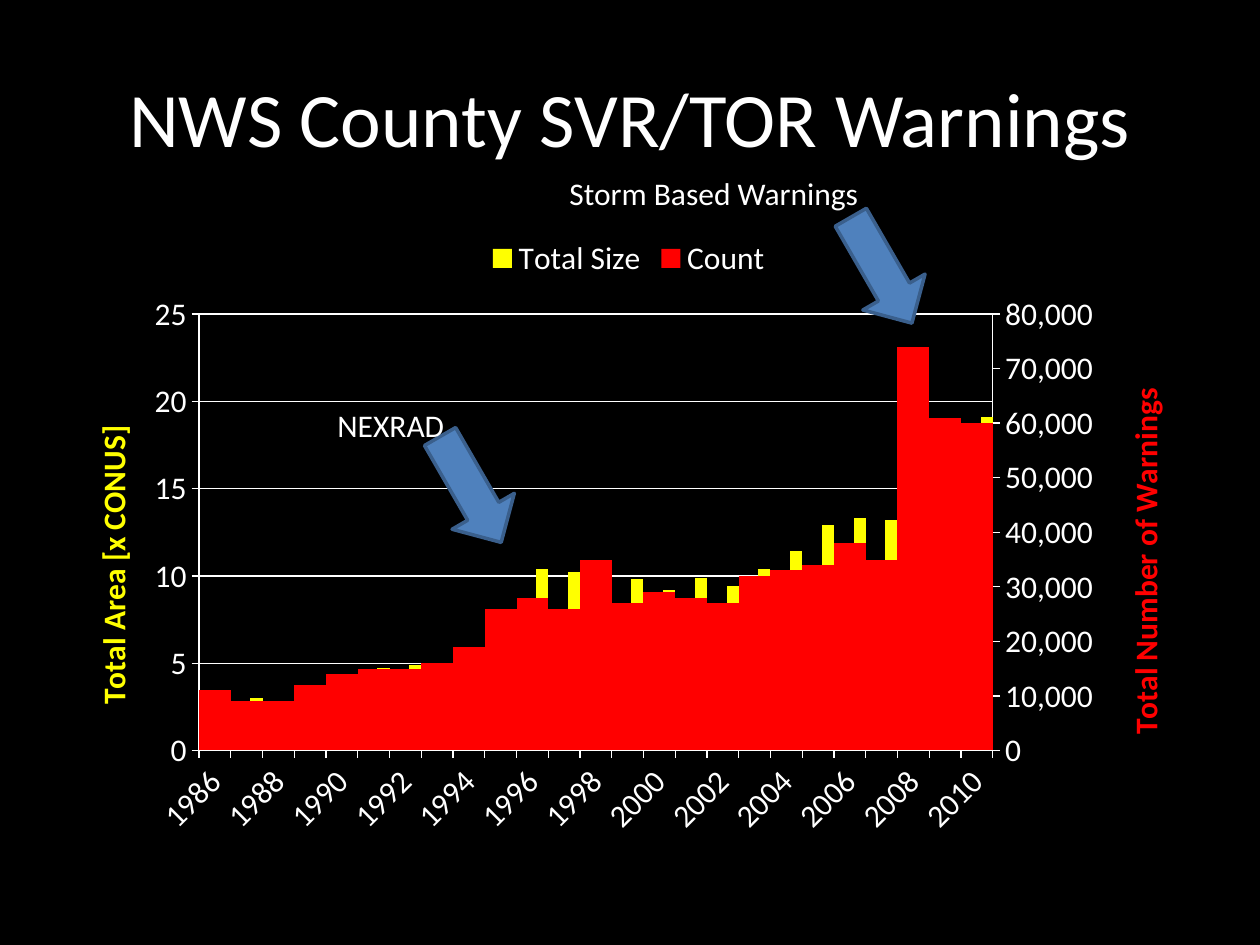
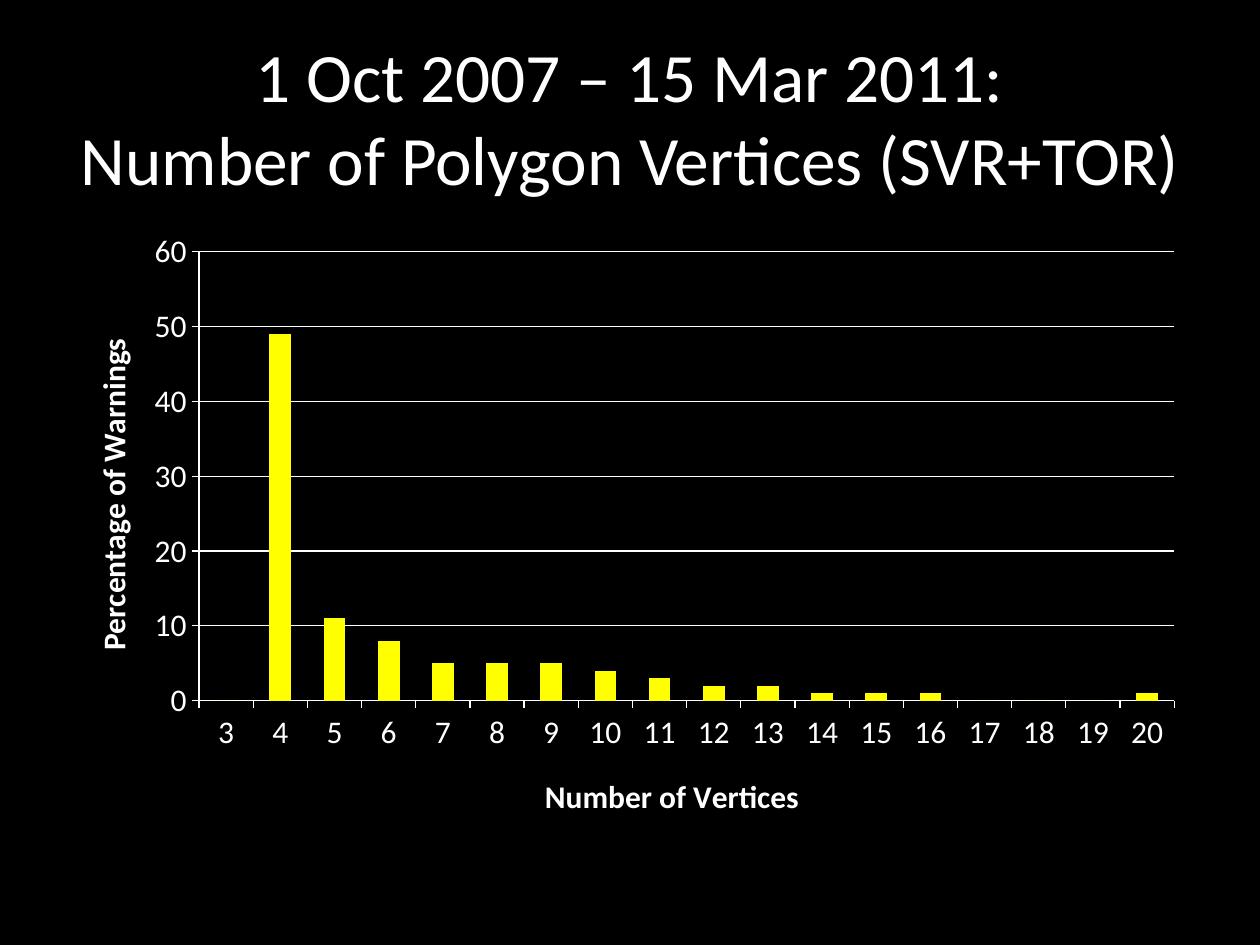
"""Build two slides on the count, area and shape of storm warnings."""
from copy import deepcopy

from pptx import Presentation
from pptx.chart import axis as ax
from pptx.chart import data
from pptx.dml import color
from pptx.enum import chart as ch, shapes, text
from pptx.oxml import ns, xmlchemy as xc
from pptx.util import Inches, Pt

HUES = {"back": "000000", "text": "FFFFFF", "area": "FFFF00",
        "count": "FF0000", "arrow": "4F81BD", "edge": "3A5F8C"}
FONT = "Calibri"
FRAME = [Inches(n) for n in (0.5, 1.75, 9, 4.95)]
YEARS = range(1986, 2011)
AREA = [3.4, 3, 2.7, 3.5, 4.2, 4.7, 4.9, 5, 5.9, 8.1, 10.4, 10.2, 10.9,
        9.8, 9.2, 9.9, 9.4, 10.4, 11.4, 12.9, 13.3, 13.2, 23, 18.4, 19.1]
COUNT = [1000 * n for n in (
    11, 9, 9, 12, 14, 15, 15, 16, 19, 26, 28, 26, 35,
    27, 29, 28, 27, 32, 33, 34, 38, 35, 74, 61, 60)]
SHARE = [0, 49, 11, 8, 5, 5, 5, 4, 3, 2, 2, 1, 1, 1, 0, 0, 0, 1]


def rgb(name):
    return color.RGBColor.from_string(HUES[name])


def paint(fill, name):
    fill.solid()
    fill.fore_color.rgb = rgb(name)


def style(font, size, hue="text", bold=False):
    font.name, font.size, font.bold = FONT, Pt(size), bold
    font.color.rgb = rgb(hue)


def start(deck):
    slide = deck.slides.add_slide(deck.slide_layouts[6])
    paint(slide.background.fill, "back")
    return slide


def label(slide, x, y, w, h, lines, size=18, wrap=False):
    box = slide.shapes.add_textbox(Inches(x), Inches(y), Inches(w), Inches(h))
    frame = box.text_frame
    frame.word_wrap = wrap
    para = frame.paragraphs[0]
    for i, line in enumerate(lines):
        if i:
            para.add_line_break()
        run = para.add_run()
        run.text = line
        style(run.font, size)
    return frame


def title(slide, lines, size, left):
    frame = label(slide, left, 0.3, 10 - 2 * left, 1.25, lines, size, True)
    frame.vertical_anchor = text.MSO_ANCHOR.MIDDLE
    frame.paragraphs[0].alignment = text.PP_ALIGN.CENTER


def arrow(slide, x, y):
    shape = slide.shapes.add_shape(
        shapes.MSO_SHAPE.RIGHT_ARROW, Inches(x), Inches(y), Inches(0.97), Inches(0.57))
    shape.rotation = 60
    shape.shadow.inherit = False
    paint(shape.fill, "arrow")
    paint(shape.line.fill, "edge")
    shape.line.width = Pt(2)


def node(tag, val):
    item = xc.OxmlElement(tag)
    item.set("val", str(val))
    return item


def place(parent, **spots):
    """Give a chart part a fixed place, in fractions of the chart."""
    for old in parent.findall(ns.qn("c:layout")):
        parent.remove(old)
    layout = xc.OxmlElement("c:layout")
    manual = xc.OxmlElement("c:manualLayout")
    layout.append(manual)
    if "w" in spots:
        manual.append(node("c:layoutTarget", "inner"))
    for key in "xy":
        manual.append(node(f"c:{key}Mode", "edge"))
    for key, val in spots.items():
        manual.append(node(f"c:{key}", val))
    mark = parent.find(ns.qn("c:overlay"))
    if mark is None:
        parent.insert(0, layout)
    else:
        mark.addprevious(layout)


def name(axis, words, x, y, hue="text"):
    axis.has_title = False
    head = axis.axis_title
    run = head.text_frame.paragraphs[0].add_run()
    run.text = words
    style(run.font, 18, hue, True)
    place(head._element, x=x, y=y)


def scale(axis, top, step):
    axis.minimum_scale, axis.maximum_scale, axis.major_unit = 0, top, step


def rule(line):
    paint(line.fill, "text")
    line.width = Pt(0.75)


def column(slide, cats, rows, gap, spot):
    """Add a column chart; rows hold name, values and hue."""
    info = data.CategoryChartData()
    info.categories = [str(c) for c in cats]
    for head, vals, _ in rows:
        info.add_series(head, vals)
    chart = slide.shapes.add_chart(
        ch.XL_CHART_TYPE.COLUMN_CLUSTERED, *FRAME, info).chart
    chart.has_title = chart.has_legend = False
    style(chart.font, 18)
    plot = chart.plots[0]
    plot.gap_width, plot.vary_by_categories = gap, False
    for ser, (_, _, hue) in zip(plot.series, rows):
        paint(ser.format.fill, hue)
        ser.invert_if_negative = False
    for axis in (chart.category_axis, chart.value_axis):
        axis.major_tick_mark = ch.XL_TICK_MARK.OUTSIDE
        rule(axis.format.line)
        style(axis.tick_labels.font, 18)
    grid = chart.value_axis
    grid.has_major_gridlines = True
    rule(grid.major_gridlines.format.line)
    place(chart._chartSpace.chart.plotArea, **spot)
    return chart


def second(chart):
    """Move the last series to a right-hand axis; return both value axes."""
    left = chart.value_axis
    area = chart._chartSpace.chart.plotArea
    bars = area.find(ns.qn("c:barChart"))
    twin = deepcopy(bars)
    tag = ns.qn("c:ser")
    bars.remove(bars.findall(tag)[-1])
    for ser in twin.findall(tag)[:-1]:
        twin.remove(ser)
    bars.addnext(twin)
    ids = ("5001", "5002")
    for item, num in zip(twin.findall(ns.qn("c:axId")), ids):
        item.set("val", num)
    base = deepcopy(chart.category_axis._element)
    side = deepcopy(left._element)
    for item, pair in ((base, ids), (side, ids[::-1])):
        item.find(ns.qn("c:axId")).set("val", pair[0])
        item.find(ns.qn("c:crossAx")).set("val", pair[1])
    side.find(ns.qn("c:axPos")).set("val", "r")
    side.find(ns.qn("c:crosses")).set("val", "max")
    left._element.addnext(side)
    side.addnext(base)
    ax.CategoryAxis(base).visible = False
    right = ax.ValueAxis(side)
    right.has_major_gridlines = False
    return left, right


def legend(chart, hide, x, y):
    chart.has_legend = True
    key = chart.legend
    key.position = ch.XL_LEGEND_POSITION.TOP
    key.include_in_layout = False
    style(key.font, 18)
    entry = xc.OxmlElement("c:legendEntry")
    entry.append(node("c:idx", hide))
    entry.append(node("c:delete", 1))
    key._element.find(ns.qn("c:legendPos")).addnext(entry)
    place(key._element, x=x, y=y)


def slant(axis):
    """Tilt the category labels and show every other one."""
    root = axis._element
    root.find(ns.qn("c:txPr")).find(ns.qn("a:bodyPr")).set("rot", "-2700000")
    root.find(ns.qn("c:noMultiLvlLbl")).addprevious(node("c:tickLblSkip", 2))


def county(deck):
    slide = start(deck)
    title(slide, ["NWS County SVR/TOR Warnings"], 44, 0.5)
    rows = [("Total Size", [1] + [None] * (len(YEARS) - 1), "area"),
            ("Series 2", AREA, "area"), ("Count", COUNT, "count")]
    chart = column(slide, YEARS, rows, 0, dict(x=0.12, y=0.15, w=0.7, h=0.7))
    chart.plots[0].overlap = -62
    left, right = second(chart)
    scale(left, 25, 5)
    scale(right, 80000, 10000)
    right.tick_labels.number_format = "#,##0"
    right.tick_labels.number_format_is_linked = False
    name(left, "Total Area [x CONUS]", 0.02, 0.32, "area")
    name(right, "Total Number of Warnings", 0.93, 0.26, "count")
    slant(chart.category_axis)
    legend(chart, 1, 0.37, 0.02)
    arrow(slide, 3.25, 3.6)
    arrow(slide, 6.51, 1.86)
    label(slide, 2.58, 3.17, 1.06, 0.4, ["NEXRAD"])
    label(slide, 4.42, 1.33, 2.52, 0.4, ["Storm Based Warnings"])


def vertex(deck):
    slide = start(deck)
    title(slide, ["1 Oct 2007 – 15 Mar 2011:",
                  "Number of Polygon Vertices (SVR+TOR)"], 39.6, 0.25)
    chart = column(slide, range(3, 21), [("Series 1", SHARE, "area")], 150,
                   dict(x=0.12, y=0.05, w=0.86, h=0.72))
    scale(chart.value_axis, 60, 10)
    name(chart.value_axis, "Percentage of Warnings", 0.02, 0.18)
    name(chart.category_axis, "Number of Vertices", 0.42, 0.88)


def main():
    deck = Presentation()
    deck.slide_width, deck.slide_height = Inches(10), Inches(7.5)
    county(deck)
    vertex(deck)
    deck.save("out.pptx")


if __name__ == "__main__":
    main()
